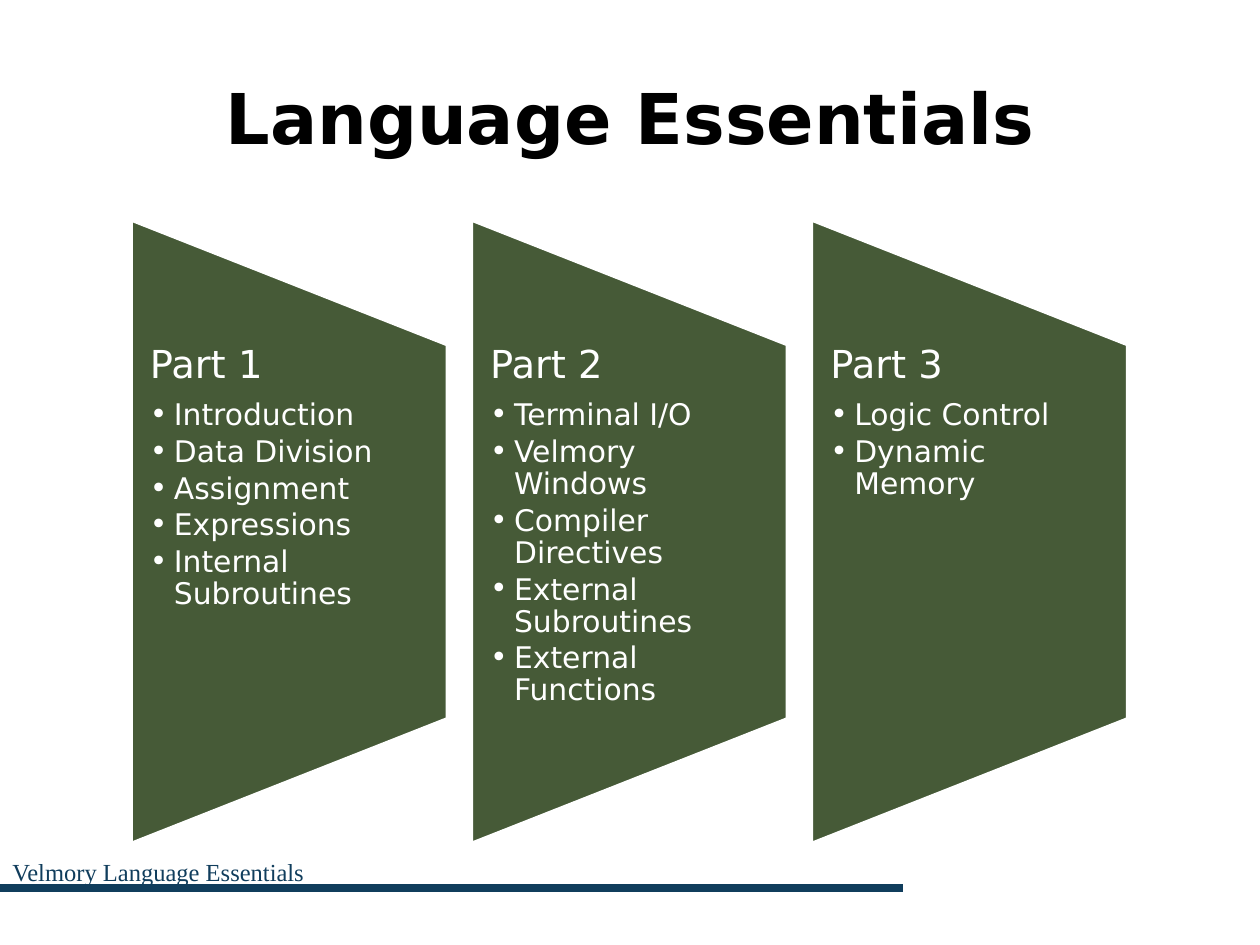
import pptx
import pptx.util
import pptx.dml.color
import pptx.enum.shapes
import pptx.enum.text
import pptx.oxml
import pptx.oxml.ns

Inches = pptx.util.Inches
Pt = pptx.util.Pt
RGBColor = pptx.dml.color.RGBColor
ALIGN = pptx.enum.text.PP_ALIGN
ANCHOR = pptx.enum.text.MSO_ANCHOR

GREEN = RGBColor(0x46, 0x5A, 0x37)
NAVY = RGBColor(0x10, 0x3D, 0x5C)
WHITE = RGBColor(0xFF, 0xFF, 0xFF)
BLACK = RGBColor(0, 0, 0)
SANS = "DejaVu Sans"
SERIF = "Times New Roman"

PARTS = [
    ("Part 1", ["Introduction", "Data Division", "Assignment",
                "Expressions", "Internal Subroutines"]),
    ("Part 2", ["Terminal I/O", "Velmory Windows", "Compiler Directives",
                "External Subroutines", "External Functions"]),
    ("Part 3", ["Logic Control", "Dynamic Memory"]),
]

# Panel grid, in inches
LEFT, STEP, WIDE = 1.04, 2.7, 2.51
TALL, MID = 4.95, 4.22
TOP, DEEP = 2.74, 2.97


def add_run(para, text, size, font, color, bold=False):
    run = para.add_run()
    run.text = text
    run.font.size = Pt(size)
    run.font.name = font
    run.font.bold = bold
    run.font.color.rgb = color


def add_box(slide, left, top, width, height):
    box = slide.shapes.add_textbox(
        Inches(left), Inches(top), Inches(width), Inches(height))
    box.text_frame.word_wrap = True
    return box.text_frame


def add_node(props, tag, attrs=""):
    props.append(pptx.oxml.parse_xml(
        "<a:%s %s %s/>" % (tag, pptx.oxml.ns.nsdecls("a"), attrs)))


def add_rule(slide):
    rule = slide.shapes.add_connector(
        pptx.enum.shapes.MSO_CONNECTOR.STRAIGHT,
        Inches(-0.08), Inches(7.05), Inches(7.17), Inches(7.05))
    rule.line.color.rgb = NAVY
    rule.line.width = Pt(4.5)
    add_node(rule._element.spPr, "effectLst")


def set_bullet(para):
    props = para._p.get_or_add_pPr()
    indent = Inches(0.19)
    props.set("marL", str(indent))
    props.set("indent", str(-indent))
    add_node(props, "buFont", 'typeface="%s"' % SANS)
    add_node(props, "buChar", 'char="•"')


def add_panel(slide, left):
    # Turned a quarter left, so width and height swap
    panel = slide.shapes.add_shape(
        pptx.enum.shapes.MSO_SHAPE.FLOWCHART_MANUAL_OPERATION,
        Inches(left + (WIDE - TALL) / 2), Inches(MID - WIDE / 2),
        Inches(TALL), Inches(WIDE))
    panel.rotation = 270
    panel.shadow.inherit = False
    panel.fill.solid()
    panel.fill.fore_color.rgb = GREEN
    panel.line.color.rgb = WHITE
    panel.line.width = Pt(2)


def add_list(slide, left, head, items):
    frame = add_box(slide, left, TOP, WIDE, DEEP)
    frame.margin_left = frame.margin_right = Inches(0.15)
    frame.margin_top = frame.margin_bottom = 0
    para = frame.paragraphs[0]
    para.line_spacing = 0.9
    para.space_after = Pt(7.7)
    add_run(para, head, 22, SANS, WHITE)
    for item in items:
        para = frame.add_paragraph()
        para.level = 1
        para.line_spacing = 0.9
        para.space_after = Pt(2.55)
        set_bullet(para)
        add_run(para, item, 17, SANS, WHITE)


def main():
    deck = pptx.Presentation()
    deck.slide_width, deck.slide_height = Inches(10), Inches(7.5)
    slide = deck.slides.add_slide(deck.slide_layouts[6])

    add_rule(slide)

    # Title
    frame = add_box(slide, 0.5, 0.3, 9, 1.25)
    frame.vertical_anchor = ANCHOR.MIDDLE
    para = frame.paragraphs[0]
    para.alignment = ALIGN.CENTER
    add_run(para, "Language Essentials", 40, SANS, BLACK, True)

    # Three parts
    for col, (head, items) in enumerate(PARTS):
        left = LEFT + col * STEP
        add_panel(slide, left)
        add_list(slide, left, head, items)

    # Footer
    frame = add_box(slide, 0, 6.75, 4.33, 0.5)
    add_run(frame.paragraphs[0], "Velmory Language Essentials",
            14, SERIF, NAVY)

    deck.save("out.pptx")


main()
